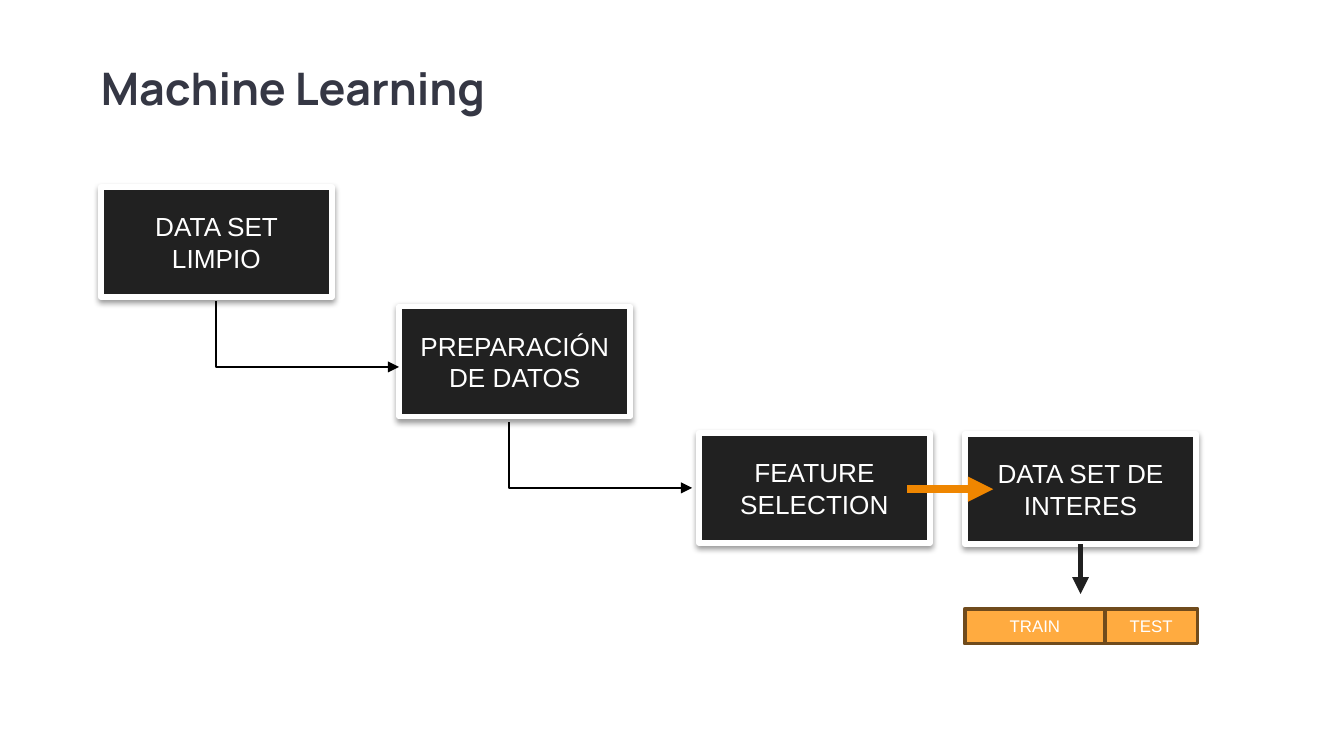
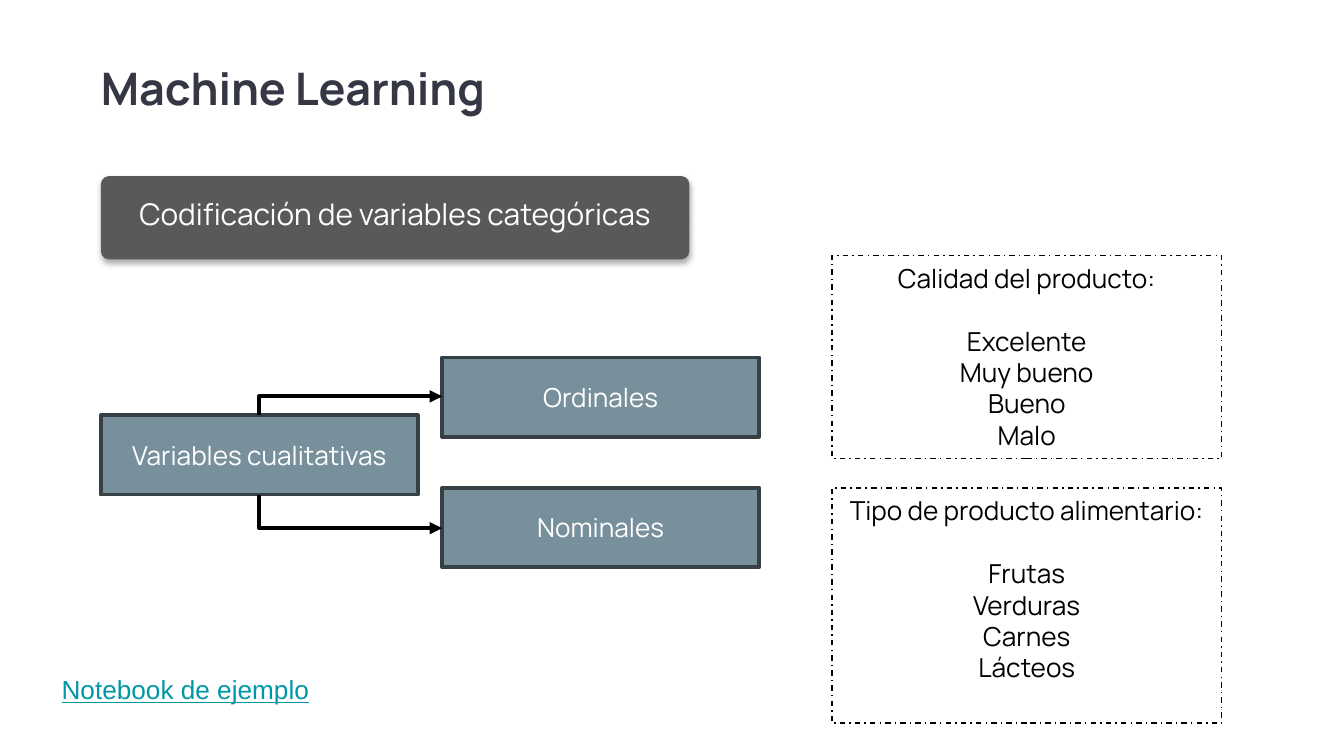
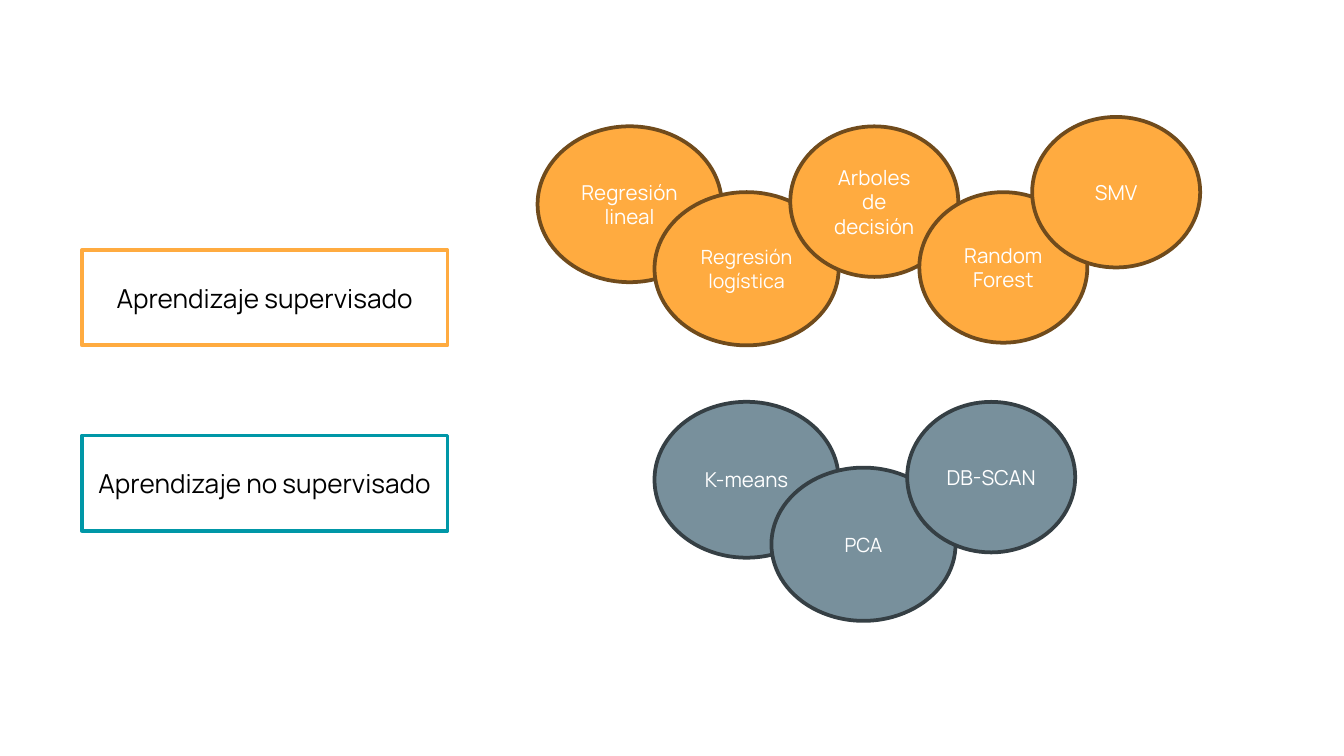
from lxml import etree
from pptx import Presentation
from pptx.dml.color import RGBColor
from pptx.enum.dml import MSO_LINE
from pptx.enum.shapes import MSO_CONNECTOR, MSO_SHAPE
from pptx.enum.text import MSO_ANCHOR, PP_ALIGN
from pptx.oxml.ns import qn
from pptx.util import Pt

PX = 9144  # 100 px to the inch
C = {
    "title": "353744", "white": "FFFFFF", "black": "000000", "dark": "212121",
    "arrow": "202020", "banner": "595959", "orange": "FFAB40", "brown": "704B1C",
    "deep": "EF8600", "slate": "78909C", "ink": "353F44", "teal": "0097A7",
}
rgb = {name: RGBColor.from_string(value) for name, value in C.items()}


def add_box(shapes, kind, box, lines, size, font="Manrope", color="white",
            fill=None, line=None, width=2, shadow=0):
    """Add a preset shape with centred text; shadow is its opacity in percent."""
    sp = shapes.add_shape(kind, *[v * PX for v in box])
    sp.shadow.inherit = False
    if shadow:
        effects = sp._element.spPr.find(qn("a:effectLst"))
        outer = etree.SubElement(effects, qn("a:outerShdw"), blurRad=str(Pt(3.1)),
                                 dist=str(Pt(1.6)), dir="5400000", rotWithShape="0")
        clr = etree.SubElement(outer, qn("a:srgbClr"), val=C["black"])
        etree.SubElement(clr, qn("a:alpha"), val=str(shadow * 1000))
    if fill:
        sp.fill.solid()
        sp.fill.fore_color.rgb = rgb[fill]
    else:
        sp.fill.background()
    if line:
        sp.line.color.rgb = rgb[line]
        sp.line.width = Pt(width)
    else:
        sp.line.fill.background()
    tf = sp.text_frame
    tf.word_wrap = True
    tf.vertical_anchor = MSO_ANCHOR.MIDDLE
    for i, text in enumerate(lines):
        p = tf.paragraphs[0] if i == 0 else tf.add_paragraph()
        p.alignment = PP_ALIGN.CENTER
        r = p.add_run()
        r.text = text
        r.font.size = Pt(size)
        r.font.name = font
        r.font.color.rgb = rgb[color]
    return sp


def add_arrow(shapes, x1, y1, x2, y2, color, width, bent=False):
    """Add an arrow; a bent one leaves vertically and arrives horizontally."""
    cx = shapes.add_connector(MSO_CONNECTOR.STRAIGHT, x1 * PX, y1 * PX, x2 * PX, y2 * PX)
    cx.line.color.rgb = rgb[color]
    cx.line.width = Pt(width)
    spPr = cx._element.spPr
    etree.SubElement(spPr.find(qn("a:ln")), qn("a:tailEnd"), type="triangle")
    etree.SubElement(spPr, qn("a:effectLst"))
    if bent:
        w, h = abs(y2 - y1), x2 - x1
        cx.left, cx.top = (x1 + x2 - w) * PX // 2, (y1 + y2 - h) * PX // 2
        cx.width, cx.height = w * PX, h * PX
        spPr.find(qn("a:prstGeom")).set("prst", "bentConnector2")
        xfrm = spPr.find(qn("a:xfrm"))
        up = y2 < y1
        xfrm.set("rot", str((90 if up else 270) * 60000))
        xfrm.set("flipH", "1")
        xfrm.set("flipV", "1" if up else "0")
    return cx


# Widescreen page, 16:9
prs = Presentation()
prs.slide_width = 1000 * PX
prs.slide_height = prs.slide_width * 9 // 16
title_only, blank = prs.slide_layouts[5], prs.slide_layouts[6]
flow, coding, methods = [prs.slides.add_slide(layout) for layout in (title_only, title_only, blank)]

# Shared title
for slide in (flow, coding):
    sp = slide.shapes.title
    sp.left, sp.top, sp.width, sp.height = [v * PX for v in (75, 50, 744, 43)]
    tf = sp.text_frame
    tf.margin_left = tf.margin_top = tf.margin_right = tf.margin_bottom = 0
    tf.vertical_anchor = MSO_ANCHOR.TOP
    p = tf.paragraphs[0]
    p.alignment = PP_ALIGN.LEFT
    p.line_spacing = 0.9
    r = p.add_run()
    r.text = "Machine Learning"
    r.font.size = Pt(24)
    r.font.name = "Manrope"
    r.font.bold = True
    r.font.color.rgb = rgb["title"]

# Slide 1: steps from the clean data set to train and test
for text, x, y in [("DATA SET LIMPIO", 75, 139), ("PREPARACIÓN DE DATOS", 297, 228),
                   ("FEATURE SELECTION", 520, 322), ("DATA SET DE INTERES", 718, 323)]:
    step = add_box(flow.shapes, MSO_SHAPE.RECTANGLE, (x, y, 172, 82), [text], 14, "Arial",
                   fill="dark", line="white", width=3, shadow=38)
for x, y in [(161, 224), (379, 314)]:
    add_arrow(flow.shapes, x, y, x + 136, y + 49, "black", 1, bent=True)
add_arrow(flow.shapes, 675, 364, 739, 364, "deep", 4.5)
cx = add_arrow(flow.shapes, 804, 405, 804, 442, "arrow", 3)
cx.begin_connect(step, 2)
split = flow.shapes.add_group_shape()
for text, x, w in [("TRAIN", 718, 104), ("TEST", 822, 69)]:
    add_box(split.shapes, MSO_SHAPE.RECTANGLE, (x, 453, w, 26), [text], 9, "Arial",
            fill="orange", line="brown")

# Slide 2: banner
sp = add_box(coding.shapes, MSO_SHAPE.ROUNDED_RECTANGLE, (75, 131, 438, 62), [], 16,
             fill="banner", shadow=35)
sp.adjustments[0] = 0.1
tb = coding.shapes.add_textbox(75 * PX, 131 * PX, 438 * PX, 59 * PX)
tf = tb.text_frame
tf.word_wrap = True
tf.vertical_anchor = MSO_ANCHOR.MIDDLE
tf.margin_left = tf.margin_top = tf.margin_right = tf.margin_bottom = 7 * PX
p = tf.paragraphs[0]
p.alignment = PP_ALIGN.CENTER
p.line_spacing = 0.9
p.space_after = Pt(6)
r = p.add_run()
r.text = "Codificación de variables categóricas"
r.font.size = Pt(16)
r.font.name = "Manrope"
r.font.color.rgb = rgb["white"]

# Slide 2: tree of variable types
for text, x, y in [("Variables cualitativas", 75, 309), ("Ordinales", 329, 266),
                   ("Nominales", 329, 363)]:
    add_box(coding.shapes, MSO_SHAPE.RECTANGLE, (x, y, 236, 59), [text], 14,
            fill="slate", line="ink")
for y1, y2 in [(309, 295), (368, 393)]:
    add_arrow(coding.shapes, 193, y1, 329, y2, "black", 2.25, bent=True)

# Slide 2: dashed example boxes
for y, h, lines in [
    (190, 151, ["Calidad del producto:", "Excelente", "Muy bueno", "Bueno", "Malo"]),
    (363, 175, ["Tipo de producto alimentario:", "Frutas", "Verduras", "Carnes", "Lácteos"]),
]:
    sp = add_box(coding.shapes, MSO_SHAPE.RECTANGLE, (619, y, 290, h), lines, 14,
                 color="black", line="black", width=0.75)
    sp.line.dash_style = MSO_LINE.DASH_DOT
    sp.text_frame.vertical_anchor = MSO_ANCHOR.TOP
    sp.text_frame.paragraphs[1].space_before = Pt(17)

# Slide 2: notebook label
tb = coding.shapes.add_textbox(36 * PX, 496 * PX, 275 * PX, 34 * PX)
tb.text_frame.word_wrap = True
r = tb.text_frame.paragraphs[0].add_run()
r.text = "Notebook de ejemplo"
r.font.size = Pt(14)
r.font.name = "Arial"
r.font.underline = True
r.font.color.rgb = rgb["teal"]

# Slide 3: learning families
for text, y, line in [("Aprendizaje supervisado", 186, "orange"),
                      ("Aprendizaje no supervisado", 324, "teal")]:
    add_box(methods.shapes, MSO_SHAPE.RECTANGLE, (61, y, 272, 71), [text], 14,
            color="black", fill="white", line=line)

# Slide 3: algorithms of each family
supervised = [
    ("Regresión lineal", 400, 94, 137, 116, 11),
    ("Regresión logística", 487, 143, 137, 114, 10.5),
    ("Arboles de decisión", 588, 94, 125, 112, 11),
    ("Random Forest", 684, 143, 125, 112, 11),
    ("SMV", 768, 87, 125, 112, 11),
]
unsupervised = [
    ("K-means", 487, 299, 137, 116, 11),
    ("PCA", 574, 348, 137, 114, 10.5),
    ("DB-SCAN", 675, 299, 125, 112, 11),
]
for family, fill, line in [(supervised, "orange", "brown"), (unsupervised, "slate", "ink")]:
    for text, x, y, w, h, size in family:
        add_box(methods.shapes, MSO_SHAPE.OVAL, (x, y, w, h), [text], size,
                fill=fill, line=line)

prs.save("out.pptx")
